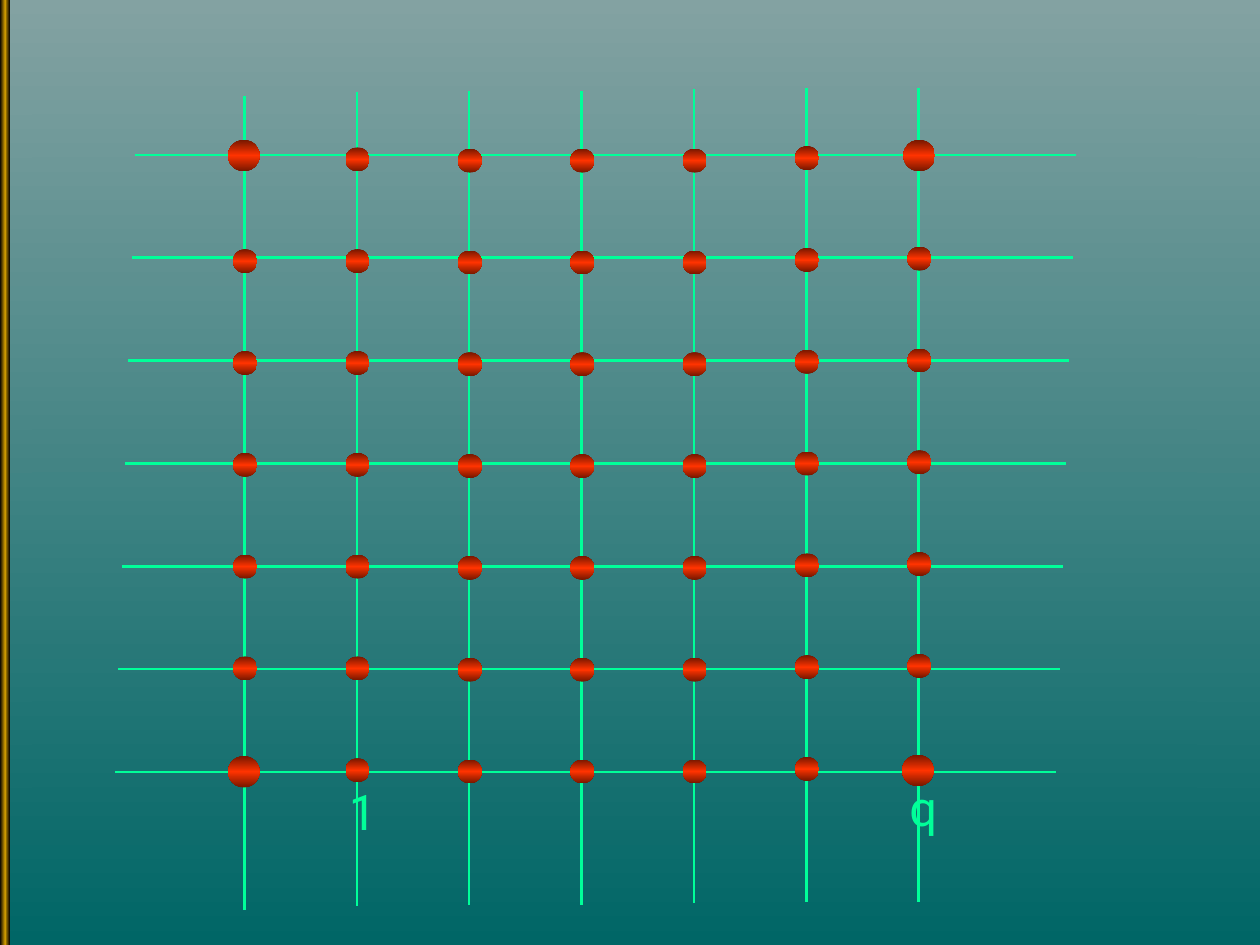
from copy import deepcopy

from pptx import Presentation
from pptx.dml.color import RGBColor
from pptx.enum.shapes import MSO_CONNECTOR, MSO_SHAPE
from pptx.enum.text import MSO_ANCHOR, MSO_AUTO_SIZE, PP_ALIGN
from pptx.oxml.ns import qn
from pptx.oxml.xmlchemy import OxmlElement
from pptx.util import Inches, Pt

COLORS = {"mist": "83A2A2", "teal": "006666", "black": "000000",
          "gold": "CC9900", "mint": "00FF99", "label": "01FF99",
          "rust": "751700", "red": "FF3300"}
BACK = ("mist", "teal")
BAR = ("black", "gold", "black")
BALL = ("rust", "red", "rust")

COUNT = 7
ROW = {"left": 1.07, "top": 1.23, "shift": -0.026, "gap": 0.816, "length": 7.47}
COL = {"left": 1.94, "gap": 0.892, "length": 6.46}
COL_TOPS = [0.76, 0.73, 0.72, 0.72, 0.71, 0.7, 0.7]
ROW_WIDTHS = [1.5] * 6 + [1]
COL_WIDTHS = [2] + [1.5] * 6
TICK = (2.83, 6.09, 2.83, 6.18)

DOT_SIZE, DOT_LEFT, DOT_GAP = 0.19, 1.85, 0.808
DOT_TOPS = [1.17, 1.17, 1.18, 1.18, 1.18, 1.16, 1.15]
CORNER_SIZE = 0.25
CORNERS = {(0, 0): (1.81, 1.11), (0, 6): (7.17, 1.11),
           (6, 0): (1.81, 6), (6, 6): (7.16, 5.99)}
LABELS = [("1", 2.67, 6.15), ("q", 7.12, 6.12)]


def rgb(name):
    return RGBColor.from_string(COLORS[name])


def shade(fill, element, names, angle):
    """Fill with evenly spaced gradient stops, one for each colour name."""
    fill.gradient()
    fill.gradient_angle = angle
    last = element.findall(".//" + qn("a:gs"))[-1]
    for _ in names[2:]:
        last.addnext(deepcopy(last))
    for i, (stop, name) in enumerate(zip(fill.gradient_stops, names)):
        stop.color.rgb = rgb(name)
        stop.position = i / (len(names) - 1)


def add_shape(slide, kind, box, names, angle=270):
    shape = slide.shapes.add_shape(kind, *map(Inches, box))
    shape.shadow.inherit = False
    shape.line.fill.background()
    shade(shape.fill, shape._element, names, angle)


def add_line(slide, ends, width):
    line = slide.shapes.add_connector(MSO_CONNECTOR.STRAIGHT, *map(Inches, ends))
    line.line.color.rgb = rgb("mint")
    line.line.width = Pt(width)
    line._element.spPr.append(OxmlElement("a:effectLst"))


def add_label(slide, text, left, top):
    box = slide.shapes.add_textbox(*map(Inches, (left, top, 0.34, 0.57)))
    frame = box.text_frame
    layout = {"word_wrap": False, "vertical_anchor": MSO_ANCHOR.MIDDLE,
              "auto_size": MSO_AUTO_SIZE.SHAPE_TO_FIT_TEXT}
    for key, value in layout.items():
        setattr(frame, key, value)
    par = frame.paragraphs[0]
    par.alignment = PP_ALIGN.CENTER
    run = par.add_run()
    run.text = text
    for key, value in {"name": "Roboto", "size": Pt(28)}.items():
        setattr(run.font, key, value)
    run.font.color.rgb = rgb("label")


def add_grid(slide):
    for i, width in enumerate(ROW_WIDTHS):
        x = ROW["left"] + i * ROW["shift"]
        y = ROW["top"] + i * ROW["gap"]
        add_line(slide, (x, y, x + ROW["length"], y), width)
    for i, (top, width) in enumerate(zip(COL_TOPS, COL_WIDTHS)):
        x = COL["left"] + i * COL["gap"]
        add_line(slide, (x, top, x, top + COL["length"]), width)
    add_line(slide, TICK, 1)


def add_dots(slide):
    for row in range(COUNT):
        for col, top in enumerate(DOT_TOPS):
            size = DOT_SIZE
            place = (DOT_LEFT + col * COL["gap"], top + row * DOT_GAP)
            if (row, col) in CORNERS:
                size, place = CORNER_SIZE, CORNERS[row, col]
            add_shape(slide, MSO_SHAPE.OVAL, (*place, size, size), BALL)


def main():
    deck = Presentation()
    deck.slide_width, deck.slide_height = Inches(10), Inches(7.5)
    slide = deck.slides.add_slide(deck.slide_layouts[6])
    shade(slide.background.fill, slide._element, BACK, 270)
    add_shape(slide, MSO_SHAPE.RECTANGLE, (0, 0, 0.08, 7.5), BAR, 180)
    add_shape(slide, MSO_SHAPE.RECTANGLE, (0.25, 0, 9.25, 7.5), BACK)
    add_grid(slide)
    for label in LABELS:
        add_label(slide, *label)
    add_dots(slide)
    deck.save("out.pptx")


if __name__ == "__main__":
    main()
